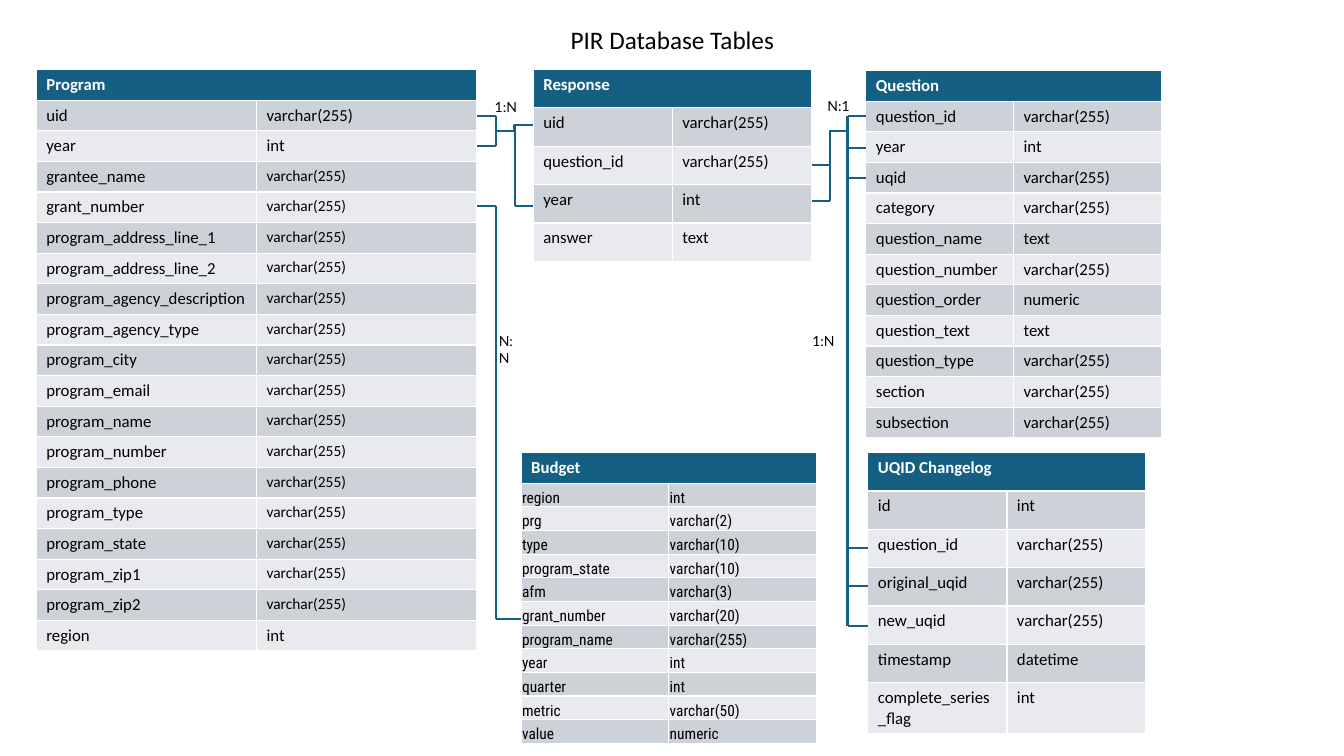
"""Build the PIR database tables slide."""
from typing import NamedTuple

from lxml.etree import SubElement
from pptx import Presentation
from pptx.dml.color import RGBColor
from pptx.enum.shapes import MSO_CONNECTOR as Conn
from pptx.enum.text import MSO_ANCHOR as Anchor, MSO_AUTO_SIZE as Fit, PP_ALIGN as Align
from pptx.oxml.ns import qn
from pptx.util import Pt

BLUE, DARK, LIGHT = "156082", "CCD2D8", "E8EAED"
BLACK, WHITE = "000000", "FFFFFF"
LONG = "varchar(255)"


class Field(NamedTuple):
    name: str
    kind: str = LONG
    size: float = 12


class Grid(NamedTuple):
    title: str
    left: float
    top: float
    width: float
    head: float
    row: float
    fields: list[Field]
    tight: bool = False


class Link(NamedTuple):
    x1: float
    y1: float
    x2: float
    y2: float


class Label(NamedTuple):
    text: str
    left: float
    top: float
    width: float = 30.2


GRIDS = [
    Grid("Response", 380.9, 49.7, 198.7, 27.4, 27.4, [
        Field("uid"), Field("question_id"), Field("year", "int"), Field("answer", "text"),
    ]),
    Grid("Question", 618.5, 50.4, 211, 21.6, 21.6, [
        Field("question_id"), Field("year", "int"), Field("uqid"), Field("category"),
        Field("question_name", "text"), Field("question_number"),
        Field("question_order", "numeric"), Field("question_text", "text"),
        Field("question_type"), Field("section"), Field("subsection"),
    ]),
    Grid("Program", 25.9, 49.7, 314.6, 21.6, 21.6, [
        Field("uid"), Field("year", "int"),
        *(Field(name, LONG, 11) for name in (
            "grantee_name", "grant_number", "program_address_line_1",
            "program_address_line_2", "program_agency_description",
            "program_agency_type", "program_city", "program_email", "program_name",
            "program_number", "program_phone", "program_type", "program_state",
            "program_zip1", "program_zip2")),
        Field("region", "int"),
    ]),
    Grid("UQID Changelog", 619.9, 323.3, 198.7, 27.4, 27.4, [
        Field("id", "int"), Field("question_id"), Field("original_uqid"),
        Field("new_uqid"), Field("timestamp", "datetime"),
        Field("complete_series_flag", "int"),
    ]),
    Grid("Budget", 372.2, 323.3, 211, 21.6, 16.9, [
        Field("region", "int"), Field("prg", "varchar(2)"), Field("type", "varchar(10)"),
        Field("program_state", "varchar(10)"), Field("afm", "varchar(3)"),
        Field("grant_number", "varchar(20)"), Field("program_name"),
        Field("year", "int"), Field("quarter", "int"), Field("metric", "varchar(50)"),
        Field("value", "numeric"),
    ], tight=True),
]

LINKS = [
    Link(340.6, 82.8, 354.2, 82.8),
    Link(354.2, 82.8, 354.2, 104.4),
    Link(354.2, 104.4, 340.6, 104.4),
    Link(354.2, 93.6, 380.9, 89.5),
    Link(367.6, 89.5, 367.6, 146.9),
    Link(367.6, 146.9, 380.9, 146.9),
    Link(605.4, 82.8, 618.5, 82.8),
    Link(605.4, 106, 618.5, 106),
    Link(605.4, 82.8, 605.4, 106),
    Link(605.4, 93.6, 579.8, 118.1),
    Link(592.6, 118.1, 592.6, 143.5),
    Link(579.8, 143.5, 592.6, 143.5),
    Link(605.4, 106, 605.4, 370.8),
    Link(619.9, 391.7, 605.4, 391.7),
    Link(605.4, 126.9, 618.5, 126.9),
    Link(605.4, 370.8, 605.4, 398.2),
    Link(619.9, 418.5, 605.4, 418.5),
    Link(605.4, 398.2, 605.4, 447.1),
    Link(619.9, 447.1, 605.4, 447.1),
    Link(354.2, 146.9, 340.6, 146.9),
    Link(354.2, 146.9, 354.2, 442.1),
    Link(354.2, 442.1, 372.2, 442.1),
]

LABELS = [
    Label("1:N", 346.3, 67),
    Label("N:1", 583.9, 66.2),
    Label("1:N", 573.1, 234),
    Label("N:N", 349.2, 234, 31.7),
]


def hue(code: str) -> RGBColor:
    return RGBColor.from_string(code)


def write(frame, text: str, size: float, face: str = "Calibri",
          color: str = BLACK, bold: bool = False) -> None:
    run = frame.paragraphs[0].add_run()
    run.text = text
    font = run.font
    font.size, font.name, font.bold = Pt(size), face, bold
    font.color.rgb = hue(color)


def paint(cell, code: str) -> None:
    cell.fill.solid()
    cell.fill.fore_color.rgb = hue(code)


def draw_grid(slide, grid: Grid) -> None:
    count = len(grid.fields)
    table = slide.shapes.add_table(
        count + 1, 2, Pt(grid.left), Pt(grid.top), Pt(grid.width),
        Pt(grid.head + count * grid.row)).table
    for col in table.columns:
        col.width = Pt(grid.width / 2)
    table.rows[0].height = Pt(grid.head)
    head = table.cell(0, 0)
    head.merge(table.cell(0, 1))
    paint(head, BLUE)
    write(head.text_frame, grid.title, 12, color=WHITE, bold=True)
    for i, field in enumerate(grid.fields, 1):
        table.rows[i].height = Pt(grid.row)
        for j, (text, size) in enumerate([(field.name, 12), (field.kind, field.size)]):
            cell = table.cell(i, j)
            paint(cell, DARK if i % 2 else LIGHT)
            if grid.tight:
                cell.vertical_anchor = Anchor.BOTTOM
                cell.margin_left = cell.margin_right = cell.margin_top = Pt(0.72)
                cell.margin_bottom = 0
                write(cell.text_frame, text, 11, "Roboto Condensed")
            else:
                write(cell.text_frame, text, size)


def draw_link(slide, link: Link) -> None:
    bent = link.x1 != link.x2 and link.y1 != link.y2
    line = slide.shapes.add_connector(
        Conn.ELBOW if bent else Conn.STRAIGHT, *(Pt(n) for n in link))
    line.line.color.rgb = hue(BLUE)
    line.line.width = Pt(1.5)
    SubElement(line.element.spPr, qn("a:effectLst"))


def draw_label(slide, label: Label) -> None:
    box = slide.shapes.add_textbox(Pt(label.left), Pt(label.top), Pt(label.width), Pt(19.4))
    box.text_frame.word_wrap = True
    write(box.text_frame, label.text, 10, "Lato")


def draw_title(slide) -> None:
    title = slide.shapes.title
    title.left, title.top, title.width, title.height = Pt(384.5), Pt(13.7), Pt(191.5), Pt(28.8)
    frame = title.text_frame
    frame.auto_size, frame.vertical_anchor = Fit.NONE, Anchor.TOP
    frame.paragraphs[0].alignment = Align.CENTER
    write(frame, "PIR Database Tables", 18)


def main() -> None:
    deck = Presentation()
    deck.slide_width, deck.slide_height = Pt(960), Pt(540)
    slide = deck.slides.add_slide(deck.slide_layouts[5])
    draw_title(slide)
    for grid in GRIDS:
        draw_grid(slide, grid)
    for link in LINKS:
        draw_link(slide, link)
    for label in LABELS:
        draw_label(slide, label)
    deck.save("out.pptx")


if __name__ == "__main__":
    main()
